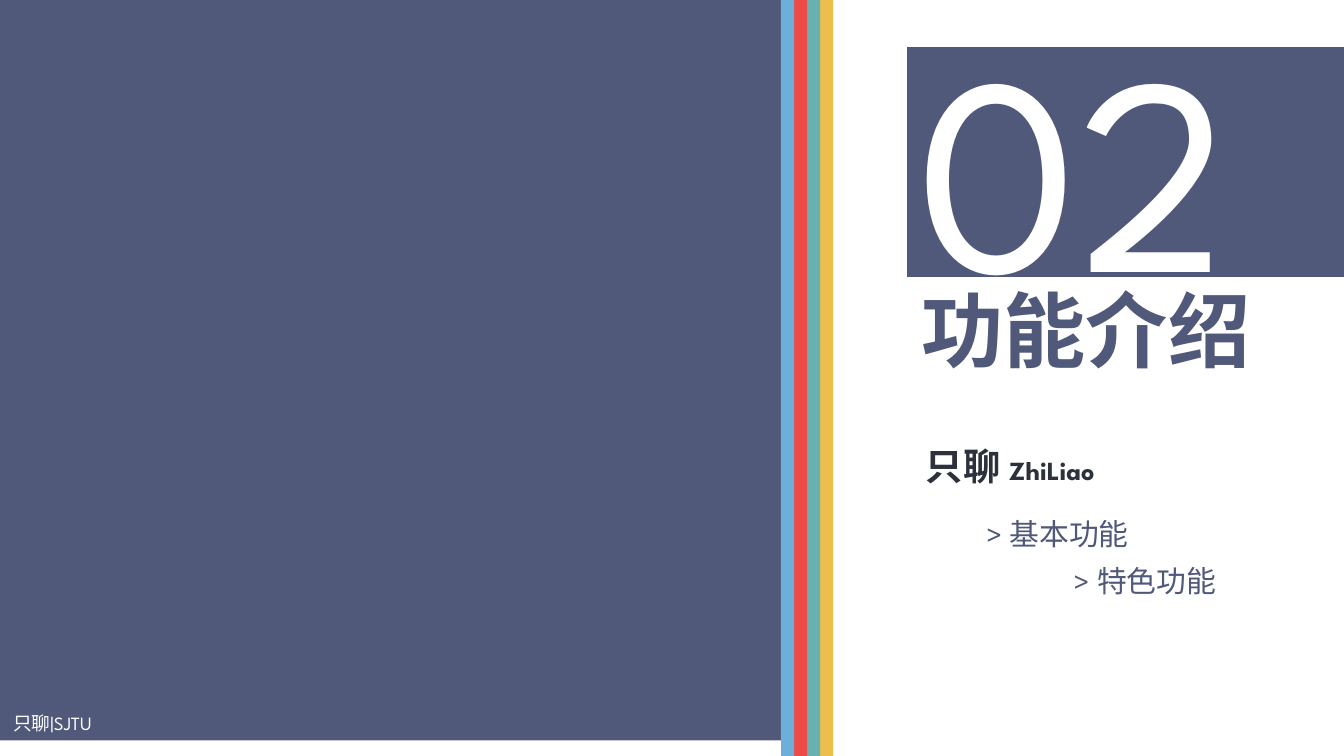
from dataclasses import dataclass

import pptx
import pptx.dml.color
import pptx.enum.shapes
import pptx.enum.text
import pptx.util

Inches = pptx.util.Inches
RGBColor = pptx.dml.color.RGBColor

NAVY = RGBColor(0x51, 0x59, 0x7B)
INK = RGBColor(0x2D, 0x31, 0x3C)
WHITE = RGBColor(0xFF, 0xFF, 0xFF)
BLUE = RGBColor(0x6B, 0xAF, 0xDA)
RED = RGBColor(0xEE, 0x4B, 0x48)
TEAL = RGBColor(0x67, 0xB2, 0xB0)
YELLOW = RGBColor(0xEC, 0xBF, 0x4C)
FONT = "League Spartan"
SLIDE_WIDTH = 10
SLIDE_HEIGHT = SLIDE_WIDTH * 9 / 16
PANEL_WIDTH = 5.81
STRIPE_WIDTH = 0.1
STRIPES_RIGHT = 6.2


@dataclass(frozen=True)
class Box:
    left: float
    top: float
    width: float
    height: float

    def lengths(self) -> list[int]:
        return [Inches(v) for v in (self.left, self.top, self.width, self.height)]


@dataclass(frozen=True)
class Run:
    text: str
    size: float


@dataclass(frozen=True)
class Line:
    runs: tuple[Run, ...]
    indent: float = 0


@dataclass(frozen=True)
class Label:
    box: Box
    lines: tuple[Line, ...]
    color: RGBColor
    bold: bool = False
    spacing: float = 1.0
    wrap: bool = False


LABELS = (
    Label(Box(0, 5.25, 0.88, 0.27), (Line((Run("只聊|SJTU", 10),)),), WHITE),
    Label(Box(6.73, 0.18, 2.58, 2.35), (Line((Run("02", 150),)),), WHITE, spacing=0.9),
    Label(
        Box(7.24, 3.71, 2.61, 0.8),
        (Line((Run("> 基本功能", 16),)), Line((Run("> 特色功能", 16),), indent=0.65)),
        NAVY,
        spacing=1.3,
        wrap=True,
    ),
    Label(
        Box(6.79, 3.15, 1.59, 0.54),
        (Line((Run("只聊 ", 20), Run("ZhiLiao", 14))),),
        INK,
        bold=True,
        spacing=1.3,
    ),
    Label(Box(6.76, 2.03, 2.66, 0.84), (Line((Run("功能介绍", 44),)),), NAVY, bold=True),
)


def add_block(shapes, box: Box, color: RGBColor) -> None:
    sp = shapes.add_shape(pptx.enum.shapes.MSO_SHAPE.RECTANGLE, *box.lengths())
    sp.shadow.inherit = False
    sp.fill.solid()
    sp.fill.fore_color.rgb = color
    sp.line.fill.background()


def add_label(shapes, label: Label) -> None:
    tf = shapes.add_textbox(*label.box.lengths()).text_frame
    tf.word_wrap = label.wrap
    tf.auto_size = pptx.enum.text.MSO_AUTO_SIZE.SHAPE_TO_FIT_TEXT
    for i, line in enumerate(label.lines):
        p = tf.add_paragraph() if i else tf.paragraphs[0]
        p.line_spacing = label.spacing
        if line.indent:
            p._p.get_or_add_pPr().set("marL", str(Inches(line.indent)))
        p.font.name = FONT
        p.font.bold = label.bold
        p.font.color.rgb = label.color
        same_size = len({run.size for run in line.runs}) == 1
        if same_size:
            p.font.size = pptx.util.Pt(line.runs[0].size)
        for run in line.runs:
            r = p.add_run()
            r.text = run.text
            if not same_size:
                r.font.size = pptx.util.Pt(run.size)


def main() -> None:
    """Build the section slide and save it."""
    prs = pptx.Presentation()
    prs.slide_width, prs.slide_height = Inches(SLIDE_WIDTH), Inches(SLIDE_HEIGHT)
    shapes = prs.slides.add_slide(prs.slide_layouts[6]).shapes

    add_block(shapes, Box(0, 0, PANEL_WIDTH, SLIDE_HEIGHT), NAVY)
    colors = (YELLOW, TEAL, RED, BLUE)
    pitch = (STRIPES_RIGHT - STRIPE_WIDTH - PANEL_WIDTH) / (len(colors) - 1)
    for i, color in enumerate(colors):
        left = STRIPES_RIGHT - STRIPE_WIDTH - i * pitch
        add_block(shapes, Box(left, -0.42, STRIPE_WIDTH, 6.26), color)
    add_block(shapes, Box(0, 5.51, PANEL_WIDTH, 0.12), WHITE)
    add_block(shapes, Box(6.75, 0.35, 3.25, 1.71), NAVY)
    for label in LABELS:
        add_label(shapes, label)

    prs.save("out.pptx")


if __name__ == "__main__":
    main()
